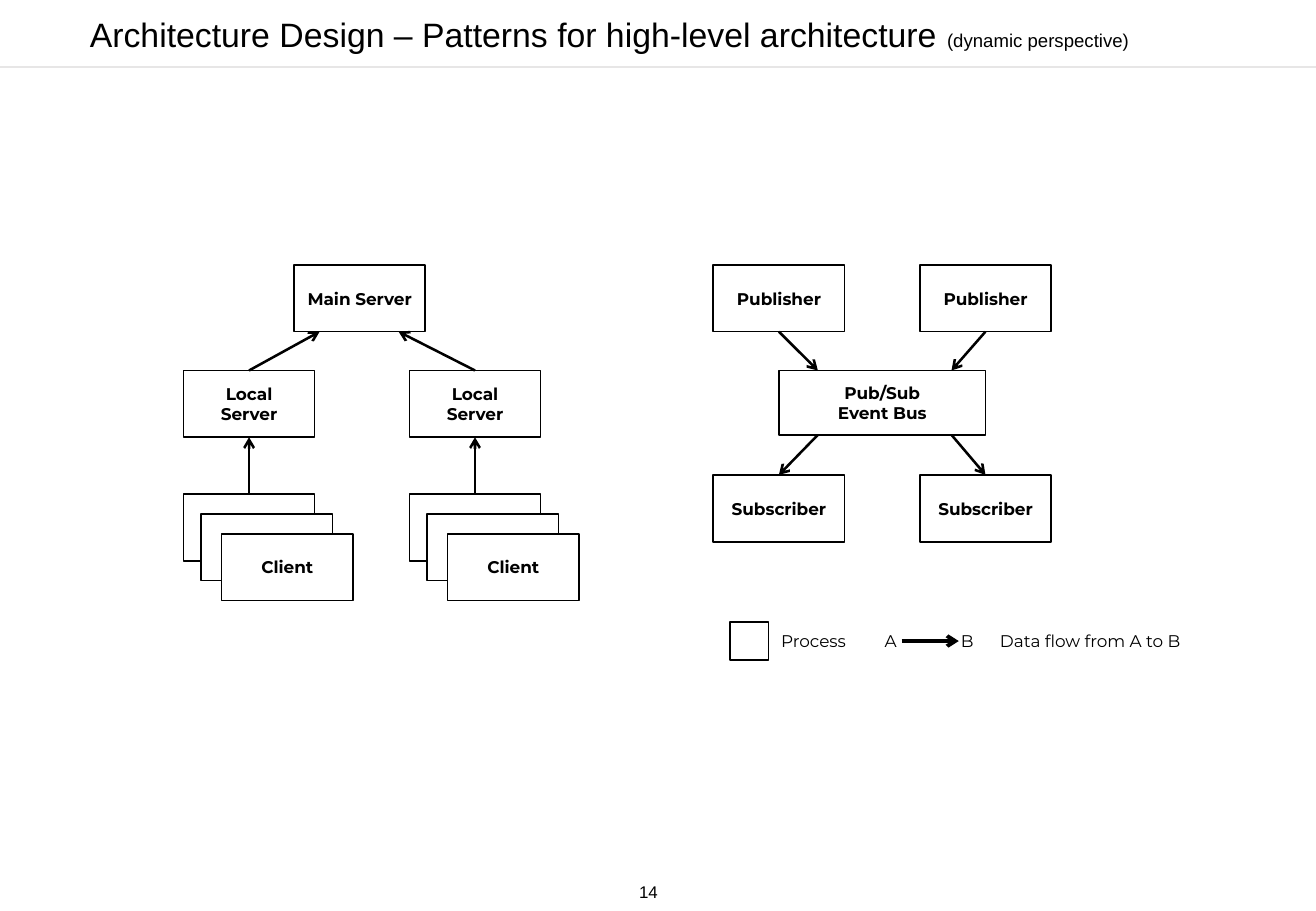
"""Build the slide on dynamic-perspective patterns for high-level architecture."""
from dataclasses import dataclass

from lxml import etree
from pptx import Presentation
from pptx.dml.color import RGBColor
from pptx.enum import shapes, text
from pptx.oxml import ns
from pptx.util import Pt


@dataclass(frozen=True)
class Theme:
    ink: str = "000000"
    paper: str = "FFFFFF"
    rule: str = "E7E6E6"
    title_font: str = "Arial"
    body_font: str = "Montserrat"
    title_size: float = 20
    subtitle_size: float = 11
    body_size: float = 10
    outline: float = 1
    flow: float = 1.5
    legend_flow: float = 2.25


THEME = Theme()
LEFT, CENTER = text.PP_ALIGN.LEFT, text.PP_ALIGN.CENTER
TOP, MIDDLE = text.MSO_ANCHOR.TOP, text.MSO_ANCHOR.MIDDLE
TOP_SIDE, BOTTOM_SIDE = 0, 2
SLIDE_WIDTH, SLIDE_HEIGHT = 779.76, 540
BOX_WIDTH, BOX_HEIGHT = 77.76, 39.6
TOP_ROW, MIDDLE_ROW, SUBSCRIBER_ROW, CLIENT_ROW = 157, 219.6, 281.5, 293
MAIN_SERVER_LEFT = 174.24
BRANCHES = ((108.7, 189.4), (242.6, 236.2))
CLIENT_OFFSETS = ((10.5, 11.5), (22.6, 23.4))
CHANNELS = ((422.64, 484.6), (545.04, 563.8))
BUS_HEIGHT = 38.2
LEGEND_TOP = 370.2
LABELS = (("Process", 455.8, 59), ("A", 517, 22.3),
          ("B", 562.3, 22.3), ("Data flow from A to B", 585.4, 133.2))


def write(frame, *paragraphs, font=THEME.body_font, size=THEME.body_size,
          bold=False, align=LEFT, anchor=TOP, wrap=True):
    """Fill a text frame; each paragraph is a string or a list of (text, size)."""
    frame.word_wrap = wrap
    frame.auto_size = text.MSO_AUTO_SIZE.NONE
    frame.vertical_anchor = anchor
    for index, content in enumerate(paragraphs):
        paragraph = frame.add_paragraph() if index else frame.paragraphs[0]
        paragraph.alignment = align
        runs = [(content, size)] if isinstance(content, str) else content
        for words, run_size in runs:
            run = paragraph.add_run()
            run.text = words
            run.font.name = font
            run.font.size = Pt(run_size)
            run.font.bold = bold
            run.font.color.rgb = RGBColor.from_string(THEME.ink)


class Sketch:
    """Draw styled elements on the current slide, with lengths in points."""

    def __init__(self, theme, slide):
        """Keep the theme and the slide."""
        self.theme = theme
        self.slide = slide

    def title(self, left, top, width, height, runs):
        """Place and format the title placeholder."""
        shape = self.slide.shapes.title
        shape.left, shape.top = Pt(left), Pt(top)
        shape.width, shape.height = Pt(width), Pt(height)
        frame = shape.text_frame
        write(frame, runs, font=self.theme.title_font, anchor=MIDDLE)
        frame.margin_left = Pt(43.2)
        frame.paragraphs[0].line_spacing = 0.9

    def label(self, left, top, width, height, words, margin=None, **style):
        """Add a one-line text box."""
        shape = self.slide.shapes.add_textbox(
            Pt(left), Pt(top), Pt(width), Pt(height))
        frame = shape.text_frame
        if margin is not None:
            frame.margin_left = frame.margin_right = Pt(margin)
            frame.margin_top = frame.margin_bottom = Pt(margin)
        write(frame, words, wrap=False, **style)

    def box(self, left, top, *lines, width=BOX_WIDTH, height=BOX_HEIGHT,
            filled=False):
        """Add an outlined process box with bold centred text."""
        shape = self.slide.shapes.add_shape(
            shapes.MSO_SHAPE.RECTANGLE,
            Pt(left), Pt(top), Pt(width), Pt(height))
        shape.shadow.inherit = False
        if filled:
            shape.fill.solid()
            shape.fill.fore_color.rgb = RGBColor.from_string(self.theme.paper)
        else:
            shape.fill.background()
        shape.line.color.rgb = RGBColor.from_string(self.theme.ink)
        shape.line.width = Pt(self.theme.outline)
        write(shape.text_frame, *lines, bold=True, align=CENTER, anchor=MIDDLE)
        return shape

    def line(self, start, end, color, weight, arrow=True):
        """Join two ends, each a point or a (shape, side) pair."""
        points = [(0, 0) if hasattr(stop[0], "shape_id") else stop
                  for stop in (start, end)]
        connector = self.slide.shapes.add_connector(
            shapes.MSO_CONNECTOR.STRAIGHT,
            *(Pt(value) for point in points for value in point))
        for stop, connect in ((start, connector.begin_connect),
                              (end, connector.end_connect)):
            if hasattr(stop[0], "shape_id"):
                connect(*stop)
        connector.line.color.rgb = RGBColor.from_string(color)
        connector.line.width = Pt(weight)
        properties = connector._element.spPr
        if arrow:
            outline = properties.find(ns.qn("a:ln"))
            etree.SubElement(outline, ns.qn("a:tailEnd"), type="arrow")
        etree.SubElement(properties, ns.qn("a:effectLst"))

    def flow(self, start, end):
        """Add a data-flow arrow."""
        self.line(start, end, self.theme.ink, self.theme.flow)


def draw_servers(sketch):
    """Draw the main server, its local servers and their clients."""
    sketch.box(MAIN_SERVER_LEFT, TOP_ROW, "Main Server")
    for left, arrival in BRANCHES:
        server = sketch.box(left, MIDDLE_ROW, "Local Server")
        client = sketch.box(left, CLIENT_ROW)
        for (across, down), lines in zip(CLIENT_OFFSETS, ((), ("Client",))):
            sketch.box(left + across, CLIENT_ROW + down, *lines, filled=True)
        sketch.flow((client, TOP_SIDE), (server, BOTTOM_SIDE))
        sketch.flow((server, TOP_SIDE), (arrival, TOP_ROW + BOX_HEIGHT))


def draw_event_bus(sketch):
    """Draw the event bus with its publishers and subscribers."""
    sketch.box(CHANNELS[0][0] + BOX_WIDTH / 2, MIDDLE_ROW, "Pub/Sub", "Event Bus",
               width=CHANNELS[1][0] - CHANNELS[0][0], height=BUS_HEIGHT)
    for left, port in CHANNELS:
        publisher = sketch.box(left, TOP_ROW, "Publisher")
        subscriber = sketch.box(left, SUBSCRIBER_ROW, "Subscriber")
        sketch.flow((publisher, BOTTOM_SIDE), (port, MIDDLE_ROW))
        sketch.flow((port, MIDDLE_ROW + BUS_HEIGHT), (subscriber, TOP_SIDE))


def draw_legend(sketch):
    """Draw the key to boxes and arrows."""
    sketch.box(432.7, 368.6, width=22.6, height=22.6)
    for words, left, width in LABELS:
        sketch.label(left, LEGEND_TOP, width, 19.4, words)
    sketch.line((534.2, 380), (568.1, 380), THEME.ink, THEME.legend_flow)


def main():
    """Build and save the presentation."""
    presentation = Presentation()
    presentation.slide_width = Pt(SLIDE_WIDTH)
    presentation.slide_height = Pt(SLIDE_HEIGHT)
    slide = presentation.slides.add_slide(presentation.slide_layouts[5])
    sketch = Sketch(THEME, slide)
    sketch.title(10, 3.6, 754, 36, [
        ("Architecture Design – Patterns for high-level architecture ",
         THEME.title_size),
        ("(dynamic perspective)", THEME.subtitle_size)])
    sketch.line((0, 39.6), (SLIDE_WIDTH, 39.6), THEME.rule, THEME.outline,
                arrow=False)
    draw_servers(sketch)
    draw_event_bus(sketch)
    draw_legend(sketch)
    sketch.label(375.8, 519.8, 18, 18, "14", margin=2.88, font=THEME.title_font)
    presentation.save("out.pptx")


if __name__ == "__main__":
    main()
